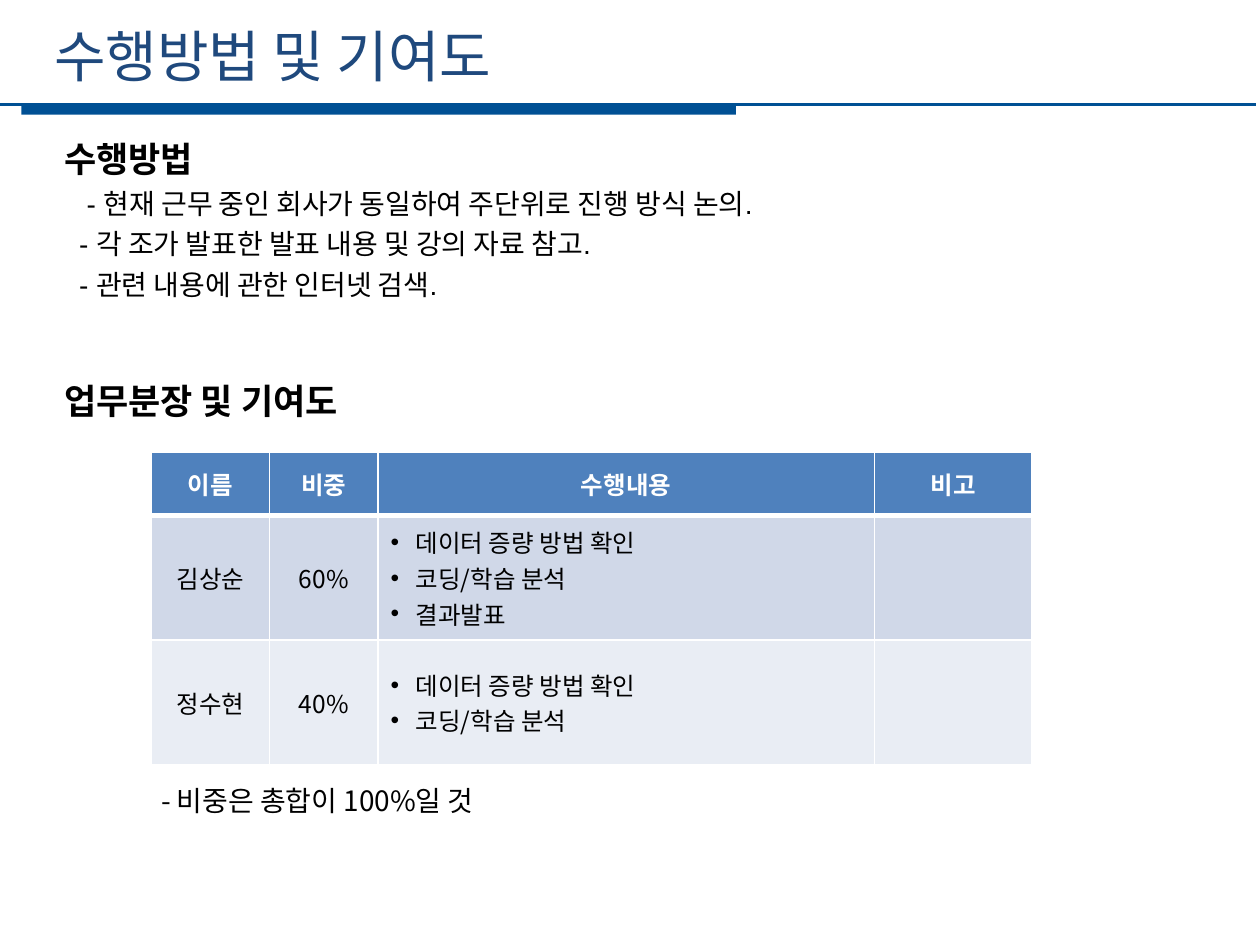
"""Builds the slide on working method and contribution shares."""
from dataclasses import dataclass

from lxml.etree import SubElement
from pptx import Presentation
from pptx.dml.color import RGBColor
from pptx.enum.shapes import MSO_CONNECTOR as Connector, MSO_SHAPE as Shape
from pptx.enum.text import MSO_ANCHOR as Anchor, MSO_AUTO_SIZE as AutoSize, PP_ALIGN as Align
from pptx.oxml.ns import qn
from pptx.util import Inches, Pt

KOREAN = "Noto Sans CJK KR"
BLUE = "005094"
WHITE = "FFFFFF"


@dataclass
class Member:
    name: str
    share: str
    tasks: list[str]
    fill: str


@dataclass
class MethodLine:
    text: str
    size: int = 16
    bold: bool = False
    indent: float = 0.12
    before: int = 0


METHOD = [
    MethodLine("수행방법", size=20, bold=True, indent=0),
    MethodLine("- 현재 근무 중인 회사가 동일하여 주단위로 진행 방식 논의.", indent=0.18),
    MethodLine("- 각 조가 발표한 발표 내용 및 강의 자료 참고."),
    MethodLine("- 관련 내용에 관한 인터넷 검색."),
    MethodLine("업무분장 및 기여도", size=20, bold=True, indent=0, before=46),
]
HEADINGS = ["이름", "비중", "수행내용", "비고"]
MEMBERS = [
    Member("김상순", "60%", ["데이터 증량 방법 확인", "코딩/학습 분석", "결과발표"], "D0D8E8"),
    Member("정수현", "40%", ["데이터 증량 방법 확인", "코딩/학습 분석"], "E9EDF4"),
]
COLUMN_WIDTHS = [0.94, 0.86, 3.94, 1.25]
ROW_HEIGHTS = [0.5, 0.99, 0.99]


def color(value: str) -> RGBColor:
    return RGBColor.from_string(value)


def write(paragraph, text: str, *, size: int, font: str = KOREAN, ink: str = "000000",
          bold: bool = False, align=Align.LEFT, indent: float = 0, bullet: bool = False,
          spacing: int | None = None, before: int = 0) -> None:
    paragraph.alignment = align
    if spacing:
        paragraph.line_spacing = Pt(spacing)
    paragraph.space_before = Pt(before)
    properties = paragraph._p.get_or_add_pPr()
    if indent:
        properties.set("marL", str(Inches(indent)))
        properties.set("indent", str(Inches(-indent) if bullet else 0))
    if bullet:
        SubElement(properties, qn("a:buFont"), typeface="Arial")
        SubElement(properties, qn("a:buChar"), char="•")
    run = paragraph.add_run()
    run.text = text
    run.font.size, run.font.bold, run.font.name = Pt(size), bold, font
    run.font.color.rgb = color(ink)
    east_asian = SubElement(run._r.rPr, qn("a:ea"), typeface=KOREAN)
    run._r.rPr.find(qn("a:latin")).addnext(east_asian)


def add_frame(slide, left: float, top: float, width: float, height: float):
    frame = slide.shapes.add_textbox(*map(Inches, (left, top, width, height))).text_frame
    frame.word_wrap = True
    return frame


def add_title(slide, text: str) -> None:
    title = slide.shapes.title
    title.left, title.top, title.width, title.height = map(Inches, (0.33, 0.12, 8.96, 0.64))
    frame = title.text_frame
    frame.auto_size = AutoSize.NONE
    frame.vertical_anchor = Anchor.TOP
    write(frame.paragraphs[0], text, size=32, ink="1F497D")


def add_title_rule(slide) -> None:
    bar = slide.shapes.add_shape(Shape.RECTANGLE, *map(Inches, (0.17, 0.83, 5.67, 0.08)))
    bar.shadow.inherit = False
    bar.fill.solid()
    bar.fill.fore_color.rgb = color(BLUE)
    bar.line.fill.background()
    rule = slide.shapes.add_connector(Connector.STRAIGHT, *map(Inches, (-0.03, 0.83, 9.97, 0.83)))
    rule.line.color.rgb = color(BLUE)
    rule.line.width = Pt(1.25)
    SubElement(rule._element.spPr, qn("a:effectLst"))


def add_method(slide) -> None:
    frame = add_frame(slide, 0.41, 1.06, 9.12, 2.36)
    for index, line in enumerate(METHOD):
        paragraph = frame.add_paragraph() if index else frame.paragraphs[0]
        write(paragraph, line.text, size=line.size, font="Arial", bold=line.bold,
              indent=line.indent, spacing=23, before=line.before)


def style_cell(cell, fill: str, top: float = 1, bottom: float = 1) -> None:
    cell.vertical_anchor = Anchor.MIDDLE
    properties = cell._tc.get_or_add_tcPr()
    for side, width in {"L": 1, "R": 1, "T": top, "B": bottom}.items():
        border = SubElement(properties, qn(f"a:ln{side}"), w=str(Pt(width)))
        SubElement(SubElement(border, qn("a:solidFill")), qn("a:srgbClr"), val=WHITE)
    cell.fill.solid()
    cell.fill.fore_color.rgb = color(fill)


def add_shares(slide) -> None:
    shares = slide.shapes.add_table(len(ROW_HEIGHTS), len(HEADINGS),
                                    *map(Inches, (1.2, 3.59, 6.99, 2.48))).table
    for column, width in zip(shares.columns, COLUMN_WIDTHS):
        column.width = Inches(width)
    for row, height in zip(shares.rows, ROW_HEIGHTS):
        row.height = Inches(height)
    for column, heading in enumerate(HEADINGS):
        cell = shares.cell(0, column)
        style_cell(cell, "4F81BD", bottom=3)
        write(cell.text_frame.paragraphs[0], heading, size=14, ink=WHITE, bold=True,
              align=Align.CENTER)
    for row, member in enumerate(MEMBERS, start=1):
        for column in range(len(HEADINGS)):
            style_cell(shares.cell(row, column), member.fill, top=3 if row == 1 else 1)
        for column, text in enumerate((member.name, member.share)):
            write(shares.cell(row, column).text_frame.paragraphs[0], text, size=14,
                  align=Align.CENTER)
        tasks = shares.cell(row, 2).text_frame
        for index, task in enumerate(member.tasks):
            paragraph = tasks.add_paragraph() if index else tasks.paragraphs[0]
            write(paragraph, task, size=14, indent=0.2, bullet=True)


def main() -> None:
    deck = Presentation()
    deck.slide_width, deck.slide_height = Inches(10), Inches(7.5)
    slide = deck.slides.add_slide(deck.slide_layouts[5])
    add_title_rule(slide)
    add_title(slide, "수행방법 및 기여도")
    add_method(slide)
    add_shares(slide)
    share_note = add_frame(slide, 1.18, 6.17, 4, 0.37)
    write(share_note.paragraphs[0], "- 비중은 총합이 100%일 것", size=16)
    deck.save("out.pptx")


if __name__ == "__main__":
    main()
